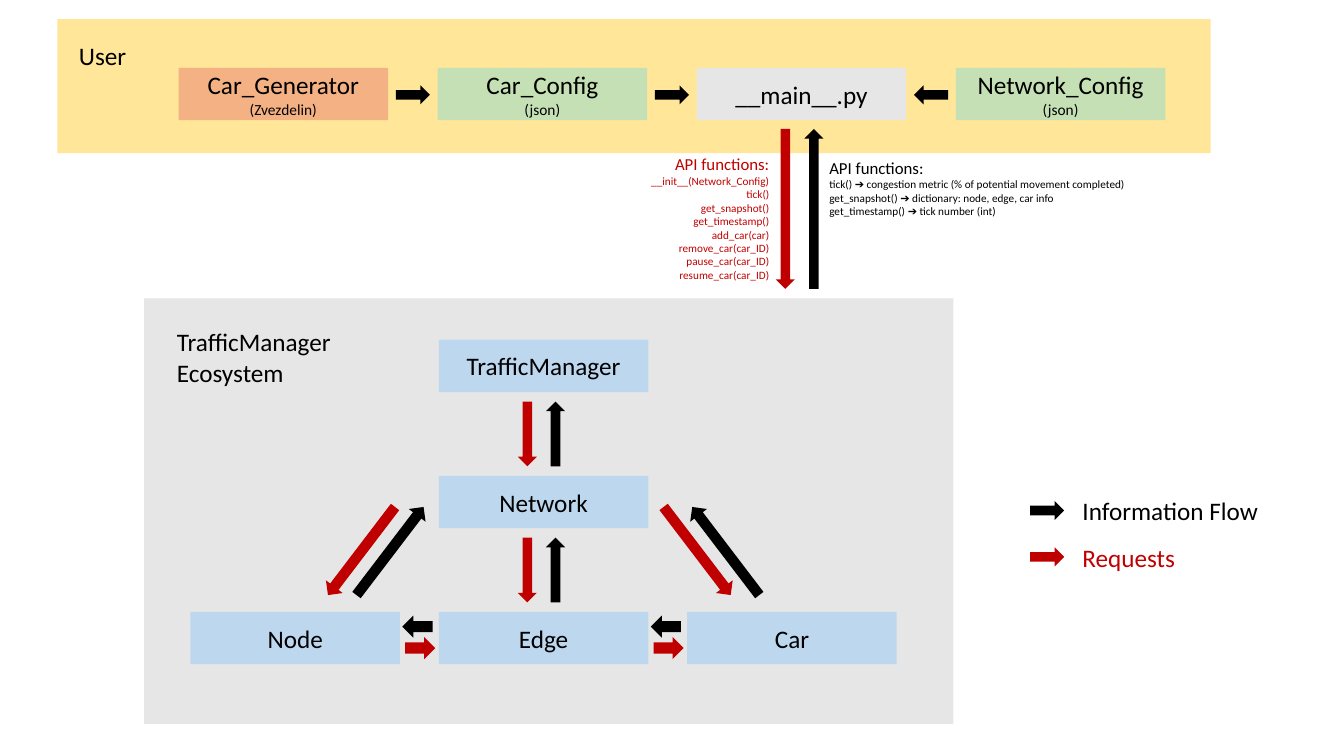
from dataclasses import dataclass
from typing import NamedTuple

from pptx import Presentation
from pptx.dml.color import RGBColor
from pptx.enum.shapes import MSO_SHAPE
from pptx.enum.text import MSO_ANCHOR, PP_ALIGN
from pptx.util import Cm, Pt


@dataclass(frozen=True)
class Theme:
    """Colours, font and type sizes of the diagram."""
    font: str = "Calibri"
    information: str = "000000"
    request: str = "C00000"
    user: str = "FFE699"
    neutral: str = "E7E6E6"
    component: str = "BDD7EE"
    config: str = "C5E0B4"
    generator: str = "F4B183"
    label: float = 18
    heading: float = 12
    note: float = 11
    detail: float = 8


THEME = Theme()
BOX_WIDTH, BOX_HEIGHT = 5.28, 1.32
ARROW_LENGTH, ARROW_THICKNESS = 0.86, 0.48


class Box(NamedTuple):
    """A rectangle in centimetres."""
    left: float
    top: float
    width: float
    height: float


def write_lines(frame, lines, colour, alignment):
    """Write each (text, size) pair as a paragraph of one run."""
    frame.word_wrap = True
    for index, (text, size) in enumerate(lines):
        paragraph = frame.paragraphs[0] if index == 0 else frame.add_paragraph()
        paragraph.alignment = alignment
        run = paragraph.add_run()
        run.text = text
        run.font.name = THEME.font
        run.font.size = Pt(size)
        run.font.color.rgb = RGBColor.from_string(colour)


def add_plain_shape(slide, kind, box, colour):
    """Add a filled shape without outline or shadow."""
    shape = slide.shapes.add_shape(kind, *map(Cm, box))
    shape.shadow.inherit = False
    shape.fill.solid()
    shape.fill.fore_color.rgb = RGBColor.from_string(colour)
    shape.line.fill.background()
    return shape


def add_panel(slide, box, colour, lines, inset_left, inset_top):
    """Add a region background titled in its top left corner."""
    shape = add_plain_shape(slide, MSO_SHAPE.RECTANGLE, box, colour)
    frame = shape.text_frame
    frame.vertical_anchor = MSO_ANCHOR.TOP
    frame.margin_left, frame.margin_top = Cm(inset_left), Cm(inset_top)
    write_lines(frame, [(line, THEME.label) for line in lines],
                THEME.information, PP_ALIGN.LEFT)


def add_component(slide, center_x, center_y, colour, name, note=None):
    """Add a component box with an optional note below its name."""
    box = Box(center_x - BOX_WIDTH / 2, center_y - BOX_HEIGHT / 2, BOX_WIDTH, BOX_HEIGHT)
    shape = add_plain_shape(slide, MSO_SHAPE.RECTANGLE, box, colour)
    shape.text_frame.vertical_anchor = MSO_ANCHOR.MIDDLE
    lines = [(name, THEME.label)] + ([(note, THEME.note)] if note else [])
    write_lines(shape.text_frame, lines, THEME.information, PP_ALIGN.CENTER)


def add_arrow(slide, center_x, center_y, colour, angle=0,
              length=ARROW_LENGTH, thickness=ARROW_THICKNESS):
    """Add a block arrow around its centre, turned clockwise from pointing right."""
    box = Box(center_x - length / 2, center_y - thickness / 2, length, thickness)
    add_plain_shape(slide, MSO_SHAPE.RIGHT_ARROW, box, colour).rotation = angle


def add_exchange(slide, center_x, center_y, request_angle, length, thickness,
                 request_shift, information_shift):
    """Add a request arrow and the opposite information arrow beside it."""
    for colour, angle, (shift_x, shift_y) in (
            (THEME.request, request_angle, request_shift),
            (THEME.information, request_angle + 180, information_shift)):
        add_arrow(slide, center_x + shift_x, center_y + shift_y, colour,
                  angle % 360, length, thickness)


def add_text(slide, box, lines, colour, alignment, anchor=MSO_ANCHOR.TOP):
    """Add a text box."""
    frame = slide.shapes.add_textbox(*map(Cm, box)).text_frame
    frame.vertical_anchor = anchor
    write_lines(frame, lines, colour, alignment)


def add_user_region(slide, box):
    """Draw the user panel with its chain of files."""
    add_panel(slide, box, THEME.user, ["User"], 0.54, 0.53)
    files = [
        (THEME.generator, "Car_Generator", "(Zvezdelin)"),
        (THEME.config, "Car_Config", "(json)"),
        (THEME.neutral, "__main__.py", None),
        (THEME.config, "Network_Config", "(json)"),
    ]
    step, center_y = 6.53, box.top + 1.89
    first_x = box.left + 5.69
    for index, (colour, name, note) in enumerate(files):
        add_component(slide, first_x + index * step, center_y, colour, name, note)
    for index, angle in enumerate((0, 0, 180)):
        add_arrow(slide, first_x + (index + 0.5) * step, center_y + 0.02,
                  THEME.information, angle)


def add_api_region(slide, box):
    """Draw the exchange between user and ecosystem with its function lists."""
    add_exchange(slide, box.left + 4.88, box.top + box.height / 2, 90,
                 box.height, ARROW_THICKNESS, (-0.36, 0), (0.36, 0))
    requests = ["__init__(Network_Config)", "tick()", "get_snapshot()",
                "get_timestamp()", "add_car(car)", "remove_car(car_ID)",
                "pause_car(car_ID)", "resume_car(car_ID)"]
    answers = ["tick() ➔ congestion metric (% of potential movement completed)",
               "get_snapshot() ➔ dictionary: node, edge, car info",
               "get_timestamp() ➔ tick number (int)"]
    for functions, left, top, width, height, colour, alignment in (
            (requests, 0, 0.51, 4.37, 3.5, THEME.request, PP_ALIGN.RIGHT),
            (answers, 5.38, 0.59, 8.36, 1.8, THEME.information, PP_ALIGN.LEFT)):
        lines = [("API functions:", THEME.heading)]
        lines += [(function, THEME.detail) for function in functions]
        add_text(slide, Box(box.left + left, box.top + top, width, height),
                 lines, colour, alignment)


def add_ecosystem_region(slide, box):
    """Draw the ecosystem panel with its components and their exchanges."""
    add_panel(slide, box, THEME.neutral, ["TrafficManager", "Ecosystem"], 0.83, 0.71)
    step_x, step_y = 6.26, 3.43
    middle_x, first_y = box.left + 10.07, box.top + 1.7
    for column, row, name in ((0, 0, "TrafficManager"), (0, 1, "Network"),
                              (0, 2, "Edge"), (-1, 2, "Node"), (1, 2, "Car")):
        add_component(slide, middle_x + column * step_x, first_y + row * step_y,
                      THEME.component, name)
    for row in (0.5, 1.5):
        add_exchange(slide, middle_x, first_y + row * step_y, 90, 1.63,
                     ARROW_THICKNESS, (-0.41, 0), (0.3, 0))
    for side, angle in ((-1, 127.3), (1, 52.7)):
        gap_x = middle_x + side * step_x / 2
        add_exchange(slide, gap_x + side * 1.1, first_y + 1.5 * step_y - 0.48,
                     angle, 2.79, 0.53, (-0.36, 0), (0.36, 0))
        add_exchange(slide, gap_x, first_y + 2 * step_y, 0, 0.76, 0.56,
                     (0.02, 0.25), (-0.05, -0.29))


def add_legend(slide, box):
    """Draw the key to the arrow colours."""
    entries = [("Information Flow", THEME.information), ("Requests", THEME.request)]
    row_height = box.height / len(entries)
    for index, (text, colour) in enumerate(entries):
        top = box.top + index * row_height
        add_arrow(slide, box.left + ARROW_LENGTH / 2, top + row_height / 2, colour)
        text_box = Box(box.left + 1.07, top, box.width - 1.07, row_height)
        add_text(slide, text_box, [(text, THEME.label)], colour,
                 PP_ALIGN.LEFT, MSO_ANCHOR.MIDDLE)


def main():
    """Build and save the presentation."""
    presentation = Presentation()
    presentation.slide_width, presentation.slide_height = Cm(33.87), Cm(19.05)
    slide = presentation.slides.add_slide(presentation.slide_layouts[6])
    add_user_region(slide, Box(1.45, 0.48, 29.06, 3.38))
    add_ecosystem_region(slide, Box(3.63, 7.52, 20.4, 10.72))
    add_api_region(slide, Box(15.27, 3.25, 13.74, 4.03))
    add_legend(slide, Box(25.96, 12.28, 6.5, 2.34))
    presentation.save("out.pptx")


if __name__ == "__main__":
    main()
